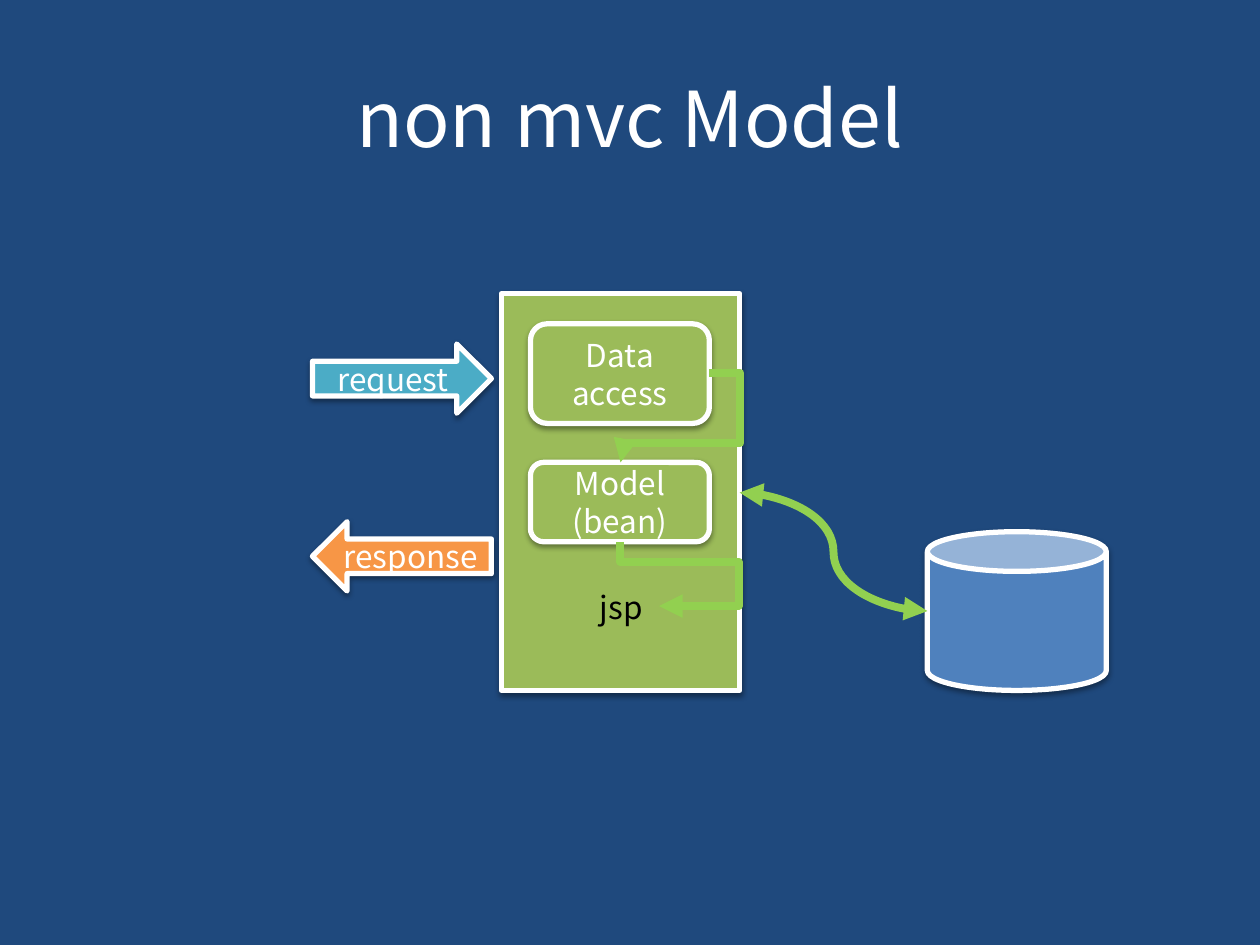
from lxml import etree
from pptx import Presentation
from pptx.dml.color import RGBColor
from pptx.enum.shapes import MSO_CONNECTOR, MSO_SHAPE
from pptx.enum.text import MSO_ANCHOR, PP_ALIGN
from pptx.oxml.ns import qn
from pptx.util import Inches, Pt

RECT, ROUNDED, CAN, ARROW = (MSO_SHAPE.RECTANGLE, MSO_SHAPE.ROUNDED_RECTANGLE,
                             MSO_SHAPE.CAN, MSO_SHAPE.RIGHT_ARROW)
ELBOW, CURVE = MSO_CONNECTOR.ELBOW, MSO_CONNECTOR.CURVE
MIDDLE, CENTER = MSO_ANCHOR.MIDDLE, PP_ALIGN.CENTER
FONT = "Noto Sans CJK KR"
WHITE, BLACK, NAVY = "FFFFFF", "000000", "1F497D"
GREEN, LIME, BLUE, TEAL, ORANGE = "9BBB59", "92D050", "4F81BD", "4BACC6", "F79646"


def color(value):
    return RGBColor.from_string(value)


def sub(parent, tag, **attrs):
    return etree.SubElement(parent, qn(tag), attrs)


def write(shape, lines, size, ink):
    tf = shape.text_frame
    tf.word_wrap = True
    tf.vertical_anchor = MIDDLE
    tf.text = "\n".join(lines)
    for p in tf.paragraphs:
        p.alignment = CENTER
        p.font.size = Pt(size)
        p.font.name = FONT
        p.font.color.rgb = color(ink)


def add_shadow(shape):
    effects = shape._element.spPr.find(qn("a:effectLst"))
    shadow = sub(effects, "a:outerShdw", blurRad="40000", dist="20000",
                 dir="5400000", rotWithShape="0")
    sub(sub(shadow, "a:srgbClr", val=BLACK), "a:alpha", val="38000")


def add_block(s, kind, box, fill, lines=()):
    sp = s.shapes.add_shape(kind, *map(Inches, box))
    sp.shadow.inherit = False
    sp.fill.solid()
    sp.fill.fore_color.rgb = color(fill)
    sp.line.color.rgb = color(WHITE)
    sp.line.width = Pt(3)
    add_shadow(sp)
    if lines:
        write(sp, lines, 18, WHITE)
    return sp


def add_arrow(s, kind, start, end, preset, adjusts, both_ends=False, turn=0):
    cxn = s.shapes.add_connector(kind, *map(Inches, start + end))
    cxn.line.color.rgb = color(LIME)
    cxn.line.width = Pt(4.5)
    spPr = cxn._element.spPr
    ln = spPr.find(qn("a:ln"))
    if both_ends:
        sub(ln, "a:headEnd", type="triangle")
    sub(ln, "a:tailEnd", type="triangle")
    sub(spPr, "a:effectLst")
    if turn:
        spPr.find(qn("a:xfrm")).set("rot", str(turn * 60000))
    geom = spPr.find(qn("a:prstGeom"))
    geom.set("prst", preset)
    guides = geom.find(qn("a:avLst"))
    for i, value in enumerate(adjusts, 1):
        sub(guides, "a:gd", name=f"adj{i}", fmla=f"val {round(value * 100000)}")


def add_title(s, box):
    title = s.shapes.title
    title.left, title.top, title.width, title.height = map(Inches, box)
    write(title, ["non mvc Model"], 44, WHITE)


def add_messages(s, x, y, w, h, pitch):
    add_block(s, ARROW, (x, y, w, h), TEAL, ["request"])
    response = add_block(s, ARROW, (x, y + pitch, w, h), ORANGE, ["response"])
    response._element.spPr.find(qn("a:xfrm")).set("flipH", "1")


def add_page(s, x, y, w, h):
    add_block(s, RECT, (x, y, w, h), GREEN)
    inner, mid = x + 0.23, x + w / 2
    add_block(s, ROUNDED, (inner, y + 0.24, 1.42, 0.79), GREEN, ["Data", "access"])
    add_block(s, ROUNDED, (inner, y + 1.34, 1.42, 0.63), GREEN, ["Model", "(bean)"])
    jsp = s.shapes.add_shape(ROUNDED, *map(Inches, (mid - 0.31, y + 2.29, 0.63, 0.39)))
    jsp.shadow.inherit = False
    jsp.fill.background()
    jsp.line.color.rgb = color(GREEN)
    jsp.line.width = Pt(2)
    write(jsp, ["jsp"], 18, BLACK)
    add_arrow(s, ELBOW, (inner + 1.42, y + 0.63), (mid, y + 1.34),
              "bentConnector4", (-0.35, 0.78))
    add_arrow(s, ELBOW, (x + 1.35, y + 2.07), (x + 0.84, y + 2.38),
              "bentConnector4", (0.31, 3.04), turn=270)


def add_database(s, x, y, w, h, page_edge):
    add_block(s, CAN, (x, y, w, h), BLUE)
    add_arrow(s, CURVE, page_edge, (x, y + h / 2), "curvedConnector3", (0.5,),
              both_ends=True)


def main():
    prs = Presentation()
    prs.slide_width, prs.slide_height = Inches(10), Inches(7.5)
    s = prs.slides.add_slide(prs.slide_layouts[5])
    s.background.fill.solid()
    s.background.fill.fore_color.rgb = color(NAVY)
    add_title(s, (0.5, 0.3, 9, 1.25))
    add_page(s, 3.98, 2.33, 1.89, 3.15)
    add_database(s, 7.36, 4.22, 1.42, 1.26, page_edge=(5.87, 3.91))
    add_messages(s, 2.48, 2.73, 1.42, 0.55, pitch=1.41)
    prs.save("out.pptx")


if __name__ == "__main__":
    main()
